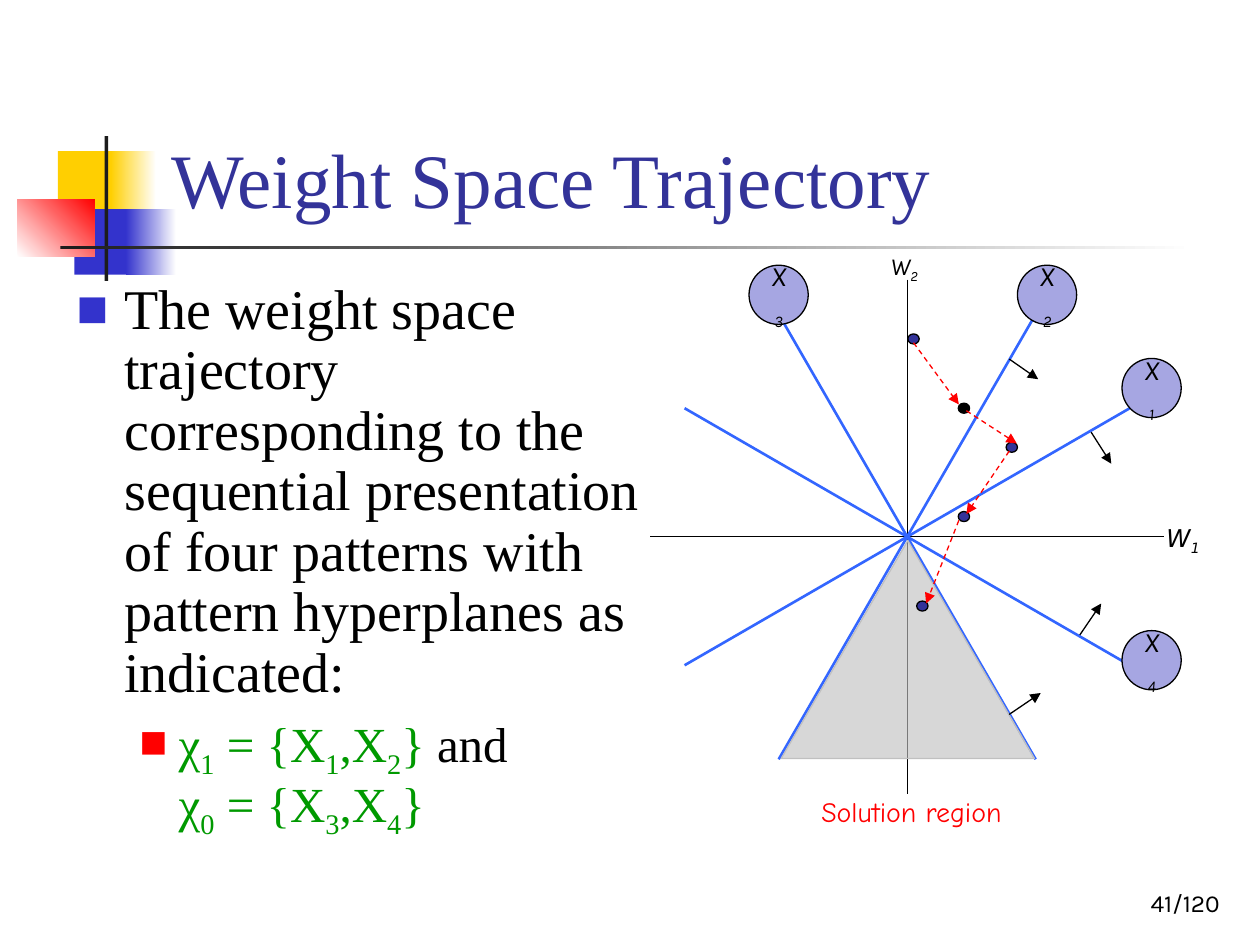
from collections import namedtuple
from math import cos, radians, sin

from lxml.etree import SubElement
from pptx import Presentation
from pptx.dml.color import RGBColor
from pptx.enum.dml import MSO_LINE
from pptx.enum.shapes import MSO_CONNECTOR, MSO_SHAPE
from pptx.enum.text import MSO_ANCHOR, PP_ALIGN
from pptx.oxml.ns import qn
from pptx.util import Inches, Pt

Box = namedtuple("Box", "left top width height")
COLORS = {
    "white": "FFFFFF", "black": "000000", "ink": "1C1C1C", "yellow": "FFCF01",
    "blue": "3333CC", "navy": "333399", "red": "FF0000", "green": "009900",
    "plane": "3366FF", "lilac": "A6A6E2", "gray": "C0C0C0",
}
SERIF = {"name": "Times New Roman"}
LABEL = {"name": "Karla", "italic": True}


def color(name):
    """Return the named colour."""
    return RGBColor.from_string(COLORS[name])


def add_text(para, text, tint, size, **formats):
    """Add runs split at bars, every second one being a subscript."""
    for index, part in enumerate(text.split("|")):
        if part:
            span = para.add_run()
            span.text = part
            for key, value in {"size": Pt(size), **formats}.items():
                setattr(span.font, key, value)
            span.font.color.rgb = color(tint)
            if index % 2:
                span._r.get_or_add_rPr().set("baseline", "-25000")


def add_box(page, box, anchor=MSO_ANCHOR.TOP):
    """Add a wrapping text box and return its text frame."""
    frame = page.shapes.add_textbox(*map(Inches, box)).text_frame
    frame.word_wrap = True
    frame.vertical_anchor = anchor
    return frame


def add_figure(page, kind, box, fill, line=None, end=None, angle=0):
    """Add a preset shape with a plain fill, or a gradient towards end."""
    shape = page.shapes.add_shape(kind, *map(Inches, box))
    shape.shadow.inherit = False
    if end:
        shape.fill.gradient()
        shape.fill.gradient_angle = angle
        for stop, name in zip(shape.fill.gradient_stops, (fill, end)):
            stop.color.rgb = color(name)
    else:
        shape.fill.solid()
        shape.fill.fore_color.rgb = color(fill)
    if line:
        shape.line.color.rgb = color(line)
        shape.line.width = Pt(0.75)
    else:
        shape.line.fill.background()
    return shape


def add_line(page, start, end, tint, width=0.75, arrow=False, dashed=False):
    """Add a straight line, with an arrowhead or dashes if wanted."""
    line = page.shapes.add_connector(
        MSO_CONNECTOR.STRAIGHT, *map(Inches, (*start, *end)))
    line.line.color.rgb = color(tint)
    line.line.width = Pt(width)
    if dashed:
        line.line.dash_style = MSO_LINE.DASH
    if arrow:
        SubElement(line.line._get_or_add_ln(), qn("a:tailEnd"), type="triangle")
    SubElement(line._element.spPr, qn("a:effectLst"))


def add_ornament(page, box):
    """Draw the coloured blocks and the crossing bars."""
    blocks = [
        (0.32, 0.12, 0.48, 0.52, "yellow", None, 0),
        (0.74, 0.12, 0.36, 0.52, "yellow", "white", 0),
        (0.45, 0.58, 0.46, 0.52, "blue", None, 0),
        (0.86, 0.58, 0.4, 0.52, "blue", "white", 0),
        (0, 0.5, 0.61, 0.46, "white", "red", 45),
        (0.69, 0, 0.03, box.height, "ink", None, 0),
        (0.34, 0.87, 9, 0.03, "ink", "white", 0),
    ]
    for left, top, width, height, fill, end, angle in blocks:
        place = Box(box.left + left, box.top + top, width, height)
        add_figure(page, MSO_SHAPE.RECTANGLE, place, fill, end=end, angle=angle)


def add_title(page, box):
    """Write the title."""
    para = add_box(page, box, MSO_ANCHOR.BOTTOM).paragraphs[0]
    add_text(para, "Weight Space Trajectory", "navy", 44, **SERIF)


def add_page_number(page, box):
    """Write the page number."""
    para = add_box(page, box, MSO_ANCHOR.BOTTOM).paragraphs[0]
    para.alignment = PP_ALIGN.RIGHT
    add_text(para, "41/120", "black", 14, name="Karla")


def set_bullet(para, tint, margin, indent):
    """Give a paragraph a square bullet and a hanging indent."""
    properties = para._p.get_or_add_pPr()
    properties.set("marL", str(Inches(margin)))
    properties.set("indent", str(Inches(indent)))
    SubElement(SubElement(properties, qn("a:buClr")), qn("a:srgbClr"), val=COLORS[tint])
    SubElement(properties, qn("a:buSzPct"), val="60000")
    SubElement(properties, qn("a:buFont"), typeface="DejaVu Sans")
    SubElement(properties, qn("a:buChar"), char="■")
    para.line_spacing = 0.9


def add_bullets(page, box):
    """Write the statement and the two pattern sets."""
    frame = add_box(page, box)
    statement = frame.paragraphs[0]
    set_bullet(statement, "blue", 0.38, -0.38)
    add_text(statement, "The weight space trajectory corresponding to the sequential "
             "presentation of four patterns with pattern hyperplanes as indicated:",
             "black", 32, **SERIF)
    sets = frame.add_paragraph()
    sets.level = 1
    set_bullet(sets, "red", 0.81, -0.31)
    sets.space_before = Pt(5.6)
    add_text(sets, "χ|1| = {X|1|,X|2|}", "green", 28, **SERIF)
    add_text(sets, " and", "black", 28, **SERIF)
    sets.add_line_break()
    add_text(sets, "χ|0| = {X|3|,X|4|}", "green", 28, **SERIF)


def add_diagram(page, box):
    """Draw the weight space around the centre of the box."""
    center_x, center_y = box.left + box.width / 2, box.top + box.height / 2
    radius = box.width / 2

    def point(x, y):
        """Return a place given from the centre."""
        return center_x + x, center_y + y

    def centered(x, y, width, height):
        """Return a box around a place given from the centre."""
        return Box(*point(x - width / 2, y - height / 2), width, height)

    for angles, tint, width in [((0, 90), "black", 0.75),
                                ((30, 60, 120, 150), "plane", 1.5)]:
        for angle in map(radians, angles):
            x, y = radius * cos(angle), radius * sin(angle)
            add_line(page, point(-x, -y), point(x, y), tint, width)

    patterns = {3: (-1.02, -1.92), 2: (1.11, -1.92), 1: (1.94, -1.18), 4: (1.94, 0.98)}
    for number, place in patterns.items():
        circle = add_figure(page, MSO_SHAPE.OVAL, centered(*place, 0.47, 0.47),
                            "lilac", "black")
        circle.text_frame.word_wrap = True
        circle.text_frame.vertical_anchor = MSO_ANCHOR.MIDDLE
        para = circle.text_frame.paragraphs[0]
        para.alignment = PP_ALIGN.CENTER
        add_text(para, f"X|{number}", "black", 16, **LABEL)

    region = add_figure(page, MSO_SHAPE.ISOSCELES_TRIANGLE,
                        Box(*point(-1, 0.03), 2.01, 1.73), "gray", "gray")
    fill_color = region.fill._xPr.find(qn("a:solidFill"))[0]
    SubElement(fill_color, qn("a:alpha"), val="63000")

    normals = [((0.81, -1.41), (1.04, -1.25)), ((1.46, -0.83), (1.62, -0.58)),
               ((0.81, 1.41), (1.06, 1.24)), ((1.37, 0.78), (1.54, 0.53))]
    for start, end in normals:
        add_line(page, point(*start), point(*end), "black", arrow=True)

    steps = [((0.05, -1.54), (0.41, -1.05)), ((0.47, -1), (0.87, -0.74)),
             ((0.81, -0.68), (0.47, -0.18)), ((0.41, -0.13), (0.15, 0.53))]
    weights = [(0.05, -1.57, "navy"), (0.45, -1.02, "black"), (0.83, -0.71, "navy"),
               (0.45, -0.16, "navy"), (0.12, 0.55, "navy")]
    for x, y, fill in weights:
        add_figure(page, MSO_SHAPE.OVAL, centered(x, y, 0.09, 0.08), fill, "black")
    for start, end in steps:
        add_line(page, point(*start), point(*end), "red", arrow=True, dashed=True)

    labels = [
        ((1.96, -0.16), 0.47, "W|1", "black", 14, {**LABEL, "name": "DejaVu Sans"}),
        ((-0.23, -2.32), 0.44, "W|2", "black", 14, LABEL),
        ((-0.78, 2), 1.76, "Solution region", "red", 16, {"name": "Comic Neue"}),
    ]
    for place, width, text, tint, size, formats in labels:
        para = add_box(page, Box(*point(*place), width, 0.35)).paragraphs[0]
        add_text(para, text, tint, size, **formats)


def main():
    """Build the slide and save it."""
    deck = Presentation()
    deck.slide_width, deck.slide_height = Inches(10), Inches(7.5)
    page = deck.slides.add_slide(deck.slide_layouts[6])
    add_ornament(page, Box(0.14, 1.08, 9.34, 1.15))
    add_page_number(page, Box(7.7, 6.83, 2.08, 0.5))
    add_title(page, Box(1.26, 0.23, 8.52, 1.6))
    add_bullets(page, Box(0.51, 2.18, 4.74, 4.67))
    add_diagram(page, Box(5.16, 2.22, 4.08, 4.08))
    deck.save("out.pptx")


if __name__ == "__main__":
    main()
